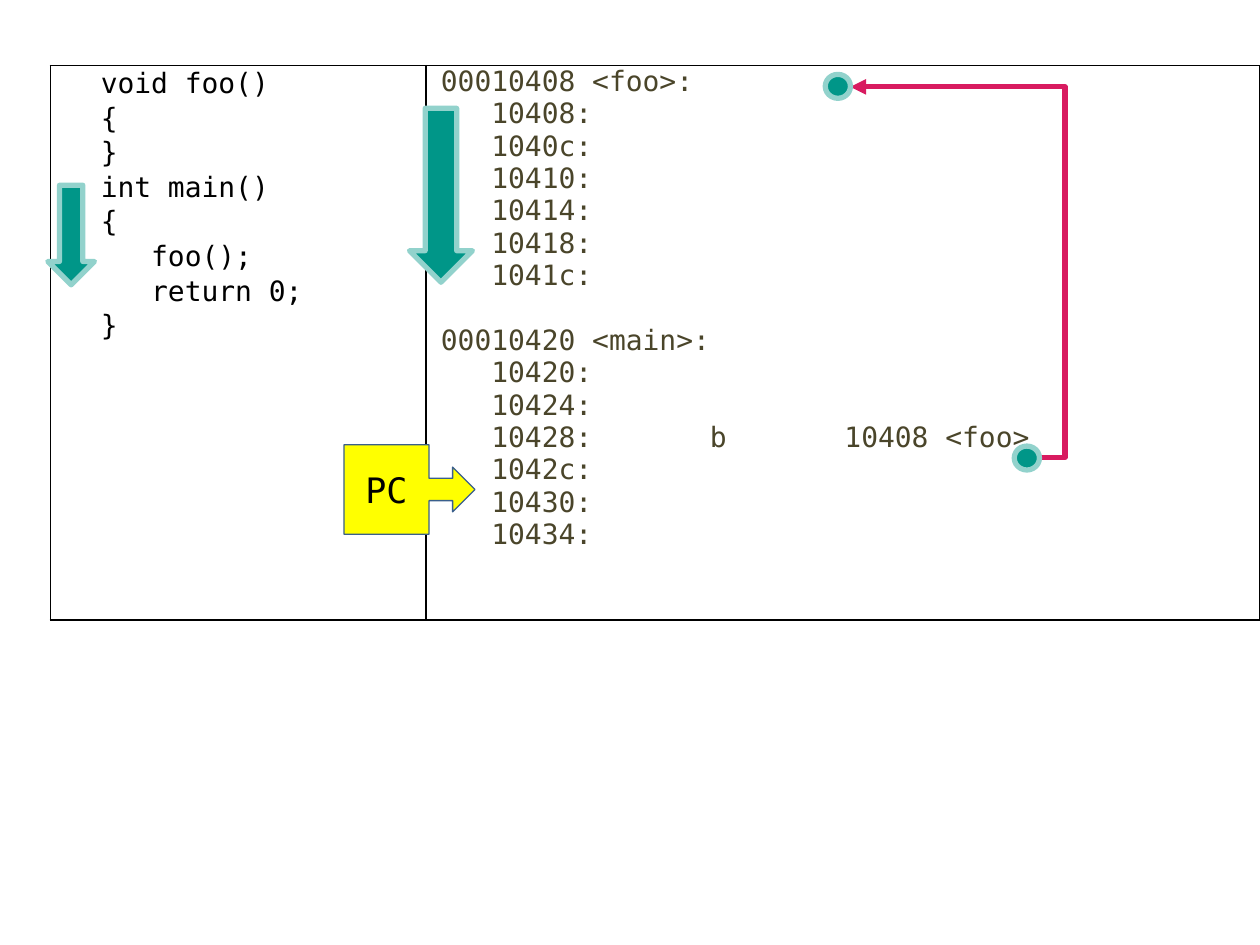
from lxml import etree
from pptx import Presentation
from pptx.dml.color import RGBColor
from pptx.enum.shapes import MSO_CONNECTOR, MSO_SHAPE
from pptx.enum.text import MSO_ANCHOR, PP_ALIGN
from pptx.oxml import parse_xml
from pptx.oxml.ns import nsdecls, qn
from pptx.util import Inches, Pt

MONO = "DejaVu Sans Mono"
BLACK, OLIVE = "000000", "4A452A"
TEAL, PALE_TEAL, PINK = "009688", "92D2CC", "D81B60"
YELLOW, BLUE = "FFFF00", "3A5F8C"

SOURCE_CODE = """void foo()
{
}
int main()
{
   foo();
   return 0;
}""".split("\n")

FOO_LISTING = """00010408 <foo>:
   10408:
   1040c:
   10410:
   10414:
   10418:
   1041c:""".split("\n")

MAIN_LISTING = """00010420 <main>:
   10420:
   10424:
   10428:       b       10408 <foo>
   1042c:
   10430:
   10434:""".split("\n")


def color(value):
    return RGBColor.from_string(value)


def format_font(font, size, hex_color):
    for name, value in {"name": MONO, "size": Pt(size), "bold": False}.items():
        setattr(font, name, value)
    font.color.rgb = color(hex_color)


def write_code(frame, lines, hex_color):
    """One paragraph per line of code; returns the paragraphs."""
    paragraphs = []
    for index, line in enumerate(lines):
        paragraph = frame.add_paragraph() if index else frame.paragraphs[0]
        run = paragraph.add_run()
        run.text = line
        format_font(run.font, 16, hex_color)
        paragraphs.append(paragraph)
    return paragraphs


def format_cell(cell):
    margins = {"margin_left": 0.12, "margin_right": 0.12,
               "margin_top": 0, "margin_bottom": 0}
    for name, value in margins.items():
        setattr(cell, name, Inches(value))
    cell.fill.background()
    properties = cell._tc.get_or_add_tcPr()
    for index, side in enumerate(("lnL", "lnR", "lnT", "lnB")):
        properties.insert(index, parse_xml(
            f'<a:{side} {nsdecls("a")} w="{Pt(1)}"><a:solidFill>'
            f'<a:srgbClr val="{BLACK}"/></a:solidFill></a:{side}>'))


def add_code_table(slide):
    table = slide.shapes.add_table(
        1, 2, Inches(0.4), Inches(0.52), Inches(9.6), Inches(4.4)).table
    table.first_row = table.horz_banding = False
    for column, width in zip(table.columns, (2.98, 6.62)):
        column.width = Inches(width)
    source, assembly = table.cell(0, 0), table.cell(0, 1)
    for cell in (source, assembly):
        format_cell(cell)

    for paragraph in write_code(source.text_frame, SOURCE_CODE, BLACK):
        paragraph.line_spacing = 1.07
        paragraph._p.get_or_add_pPr().set("marL", str(Inches(0.28)))

    listing = write_code(assembly.text_frame, FOO_LISTING + MAIN_LISTING, OLIVE)
    # One line of space between the two functions
    listing[len(FOO_LISTING)].space_before = Pt(18.6)


def add_branch(slide, start, end, bend):
    """Elbow arrow; bend is the turning point as a share of its width."""
    branch = slide.shapes.add_connector(
        MSO_CONNECTOR.ELBOW, *(Inches(value) for value in start + end))
    branch.line.color.rgb = color(PINK)
    branch.line.width = Pt(3)
    properties = branch._element.spPr
    guides = properties.find(qn("a:prstGeom")).get_or_add_avLst()
    etree.SubElement(guides, qn("a:gd"), name="adj1",
                     fmla=f"val {round(bend * 100000)}")
    etree.SubElement(branch.line._get_or_add_ln(), qn("a:tailEnd"),
                     type="triangle")
    etree.SubElement(properties, qn("a:effectLst"))


def add_marker(slide, kind, box, fill=TEAL, outline=PALE_TEAL, weight=3):
    marker = slide.shapes.add_shape(kind, *(Inches(value) for value in box))
    marker.shadow.inherit = False
    marker.fill.solid()
    marker.fill.fore_color.rgb = color(fill)
    marker.line.color.rgb = color(outline)
    marker.line.width = Pt(weight)
    return marker


def add_program_counter(slide):
    counter = add_marker(slide, MSO_SHAPE.RIGHT_ARROW_CALLOUT,
                         (2.73, 3.53, 1.04, 0.71), YELLOW, BLUE, 0.75)
    frame = counter.text_frame
    frame.vertical_anchor = MSO_ANCHOR.MIDDLE
    label = frame.paragraphs[0]
    label.alignment = PP_ALIGN.CENTER
    run = label.add_run()
    run.text = "PC"
    format_font(run.font, 20, BLACK)


def main():
    deck = Presentation()
    deck.slide_width, deck.slide_height = Inches(10), Inches(7.5)
    slide = deck.slides.add_slide(deck.slide_layouts[6])

    add_code_table(slide)

    # Branch from main back to foo, with a dot at each end
    add_branch(slide, (8.25, 3.63), (6.75, 0.69), -0.135)
    for left, top in ((6.55, 0.59), (8.05, 3.54)):
        add_marker(slide, MSO_SHAPE.OVAL, (left, top, 0.2, 0.19))

    # Direction of execution in the listing and in the source
    for box in ((3.25, 0.86, 0.5, 1.38), (0.38, 1.47, 0.37, 0.79)):
        add_marker(slide, MSO_SHAPE.DOWN_ARROW, box)

    add_program_counter(slide)
    deck.save("out.pptx")


if __name__ == "__main__":
    main()
